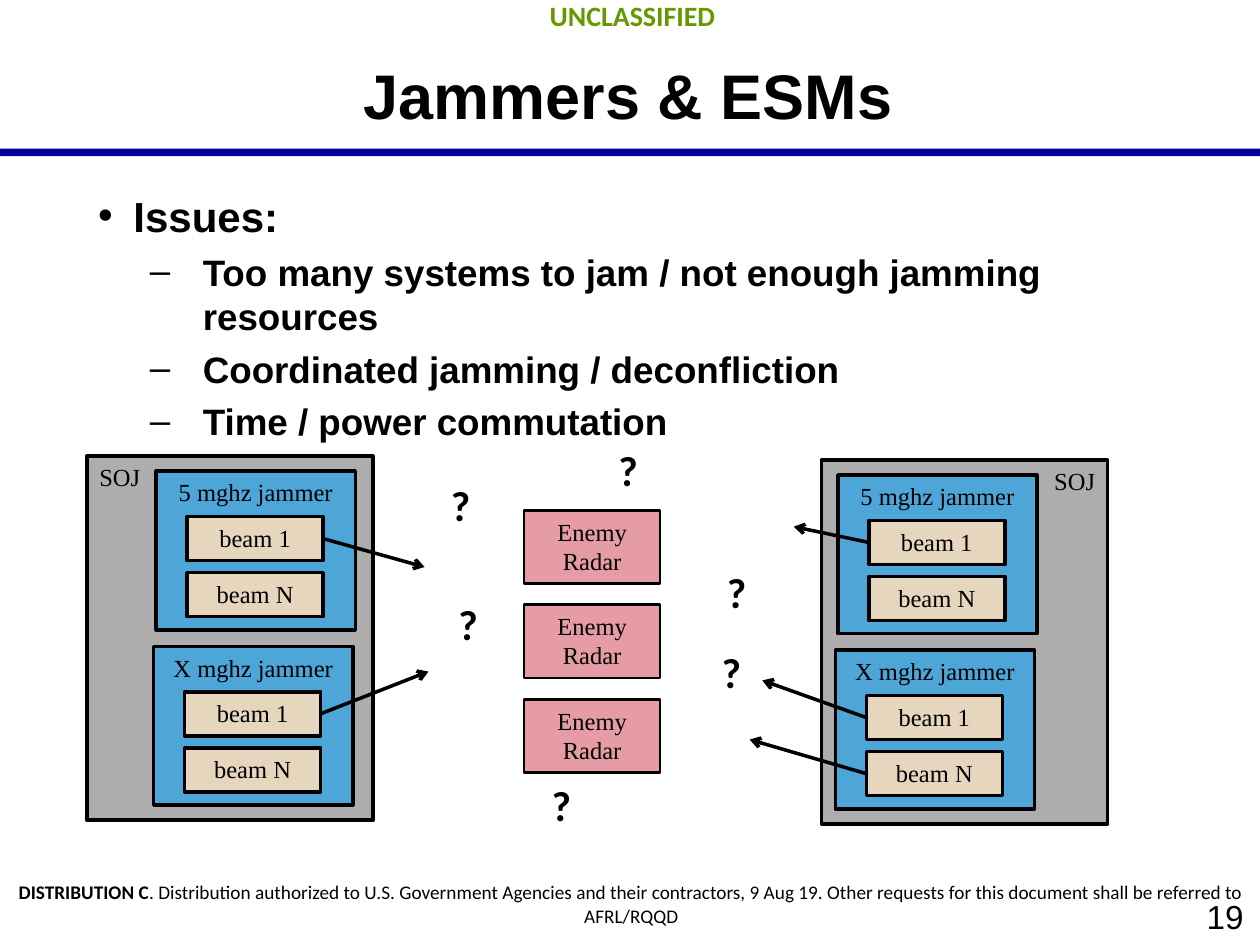
from dataclasses import dataclass

from lxml.etree import SubElement
from pptx import Presentation
from pptx.dml.color import RGBColor
from pptx.enum.shapes import MSO_CONNECTOR as CONN, MSO_SHAPE as SHAPE
from pptx.enum.text import MSO_ANCHOR as ANCHOR, PP_ALIGN as ALIGN
from pptx.oxml.ns import qn
from pptx.util import Inches, Pt

# Grid: 100 columns by 75 rows
prs = Presentation()
prs.slide_width, prs.slide_height = Inches(10), Inches(7.5)
COL, ROW = prs.slide_width / 100, prs.slide_height / 75
s = prs.slides.add_slide(prs.slide_layouts[5])

BLACK, NAVY, GREEN = "000000", "000099", "669900"
GREY, BLUE, TAN, PINK = "ADADAD", "4EA5D8", "E6D6BD", "E69CA4"
SERIF, SANS, HUMAN = "Times New Roman", "Arial", "Calibri"


@dataclass
class Box:
    x: float
    y: float
    w: float
    h: float

    def emu(self) -> list[int]:
        return [round(v) for v in (self.x * COL, self.y * ROW, self.w * COL, self.h * ROW)]


@dataclass
class Station:
    box: Box
    jammer_dx: float
    align: ALIGN
    side: int  # edge of the beams that emits: 1 right, 0 left
    targets: dict  # (jammer, beam) -> arrow end


def rgb(color: str) -> RGBColor:
    return RGBColor.from_string(color)


def add_text(p, text: str, *, size=14, font=SERIF, color=BLACK, bold=False, align=ALIGN.CENTER):
    p.alignment = align
    r = p.add_run()
    r.text = text
    f = r.font
    f.size, f.name, f.bold = Pt(size), font, bold
    f.color.rgb = rgb(color)


def add_rect(box: Box, fill: str, text="", line=2.0, align=ALIGN.CENTER):
    sp = s.shapes.add_shape(SHAPE.RECTANGLE, *box.emu())
    sp.shadow.inherit = False
    sp.fill.solid()
    sp.fill.fore_color.rgb = rgb(fill)
    if line:
        sp.line.color.rgb = rgb(BLACK)
        sp.line.width = Pt(line)
    else:
        sp.line.fill.background()
    if text:
        sp.text_frame.vertical_anchor = ANCHOR.TOP
        add_text(sp.text_frame.paragraphs[0], text, align=align)


def add_box(box: Box, wrap=True, wide=True, anchor=ANCHOR.TOP):
    tf = s.shapes.add_textbox(*box.emu()).text_frame
    tf.word_wrap, tf.vertical_anchor = wrap, anchor
    if wide:
        tf.margin_left = tf.margin_right = Inches(0.13)
        tf.margin_top = tf.margin_bottom = Inches(0.07)
    return tf


def add_arrow(x1: float, y1: float, x2: float, y2: float):
    c = s.shapes.add_connector(CONN.STRAIGHT, round(x1 * COL), round(y1 * ROW),
                               round(x2 * COL), round(y2 * ROW))
    c.line.color.rgb = rgb(BLACK)
    c.line.width = Pt(2)
    SubElement(c.line._get_or_add_ln(), qn("a:tailEnd"), type="arrow")
    SubElement(c._element.spPr, qn("a:effectLst"))


def add_bullet(p, char: str, left: float, hang: float):
    pPr = p._p.get_or_add_pPr()
    pPr.set("marL", str(Inches(left)))
    pPr.set("indent", str(-Inches(hang)))
    SubElement(pPr, qn("a:buFont"), typeface=SANS)
    SubElement(pPr, qn("a:buChar"), char=char)


def add_station(st: Station):
    add_rect(st.box, GREY, "SOJ", align=st.align)
    for j, name in enumerate(("5 mghz jammer", "X mghz jammer")):
        x = st.box.x + st.jammer_dx - 0.2 * j
        y = st.box.y + 1.2 + 13.9 * j
        add_rect(Box(x, y, 15.8, 12.6), BLUE, name)
        for b, beam in enumerate(("beam 1", "beam N")):
            box = Box(x + 2.45, y + 3.6 + 4.45 * b, 10.8, 3.5)
            add_rect(box, TAN, beam)
            if (j, b) in st.targets:
                add_arrow(box.x + st.side * box.w, box.y + box.h / 2, *st.targets[j, b])


# Markings, page number and rule
tf = add_box(Box(80, 70.5, 20, 4.5), anchor=ANCHOR.MIDDLE)
add_text(tf.paragraphs[0], "19", size=19, font=SANS, align=ALIGN.RIGHT)
tf = add_box(Box(0.2, -0.8, 100, 4))
add_text(tf.paragraphs[0], "UNCLASSIFIED", size=16, font=HUMAN, color=GREEN, bold=True)
p = add_box(Box(0, 69.2, 100.2, 5)).paragraphs[0]
add_text(p, "DISTRIBUTION C", size=11, font=HUMAN, bold=True)
add_text(p, ". Distribution authorized to U.S. Government Agencies and their contractors, "
            "9 Aug 19. Other requests for this document shall be referred to AFRL/RQQD",
         size=11, font=HUMAN)
add_rect(Box(0, 11.8, 100, 0.6), NAVY, line=0)

# Title
title = s.shapes.title
title.left, title.top, title.width, title.height = Box(4, 3.3, 91.7, 5.9).emu()
tf = title.text_frame
tf.vertical_anchor, tf.margin_top = ANCHOR.TOP, Inches(0.12)
add_text(tf.paragraphs[0], "Jammers & ESMs", size=36, font=SANS, bold=True)

# Issues
tf = add_box(Box(4, 13.3, 91.7, 26.4))
tf.margin_top = Inches(0.18)
p = tf.paragraphs[0]
add_bullet(p, "•", 0.53, 0.28)
add_text(p, "Issues:", size=24, font=SANS, bold=True, align=ALIGN.LEFT)
for issue in ("Too many systems to jam / not enough jamming resources",
              "Coordinated jamming / deconfliction",
              "Time / power commutation"):
    p = tf.add_paragraph()
    p.level = 1
    add_bullet(p, "–", 1.08, 0.42)
    p.space_before = Pt(5)
    add_text(p, issue, size=21, font=SANS, bold=True, align=ALIGN.LEFT)

# Jamming stations and the radars between them
add_station(Station(Box(6.9, 36.2, 22.7, 28.9), 5.5, ALIGN.LEFT, 1,
                    {(0, 0): (33.7, 45), (1, 0): (34, 53.3)}))
for i in range(3):
    add_rect(Box(41.6, 40.5 + 7.5 * i, 10.8, 5.8), PINK, "Enemy Radar", line=1.5)
add_station(Station(Box(65.2, 36.5, 22.7, 28.9), 1.3, ALIGN.RIGHT, 0,
                    {(0, 0): (63, 41.8), (1, 0): (60.5, 54), (1, 1): (59.5, 58.7)}))

# Open questions
for x, y in ((56.7, 44.5), (35.4, 47), (56.3, 50.8), (34.8, 37.6), (42.8, 61.4), (48.1, 34.8)):
    tf = add_box(Box(x, y, 3.6, 5), wrap=False, wide=False)
    add_text(tf.paragraphs[0], "?", size=24, font=HUMAN, bold=True, align=ALIGN.LEFT)

prs.save("out.pptx")
